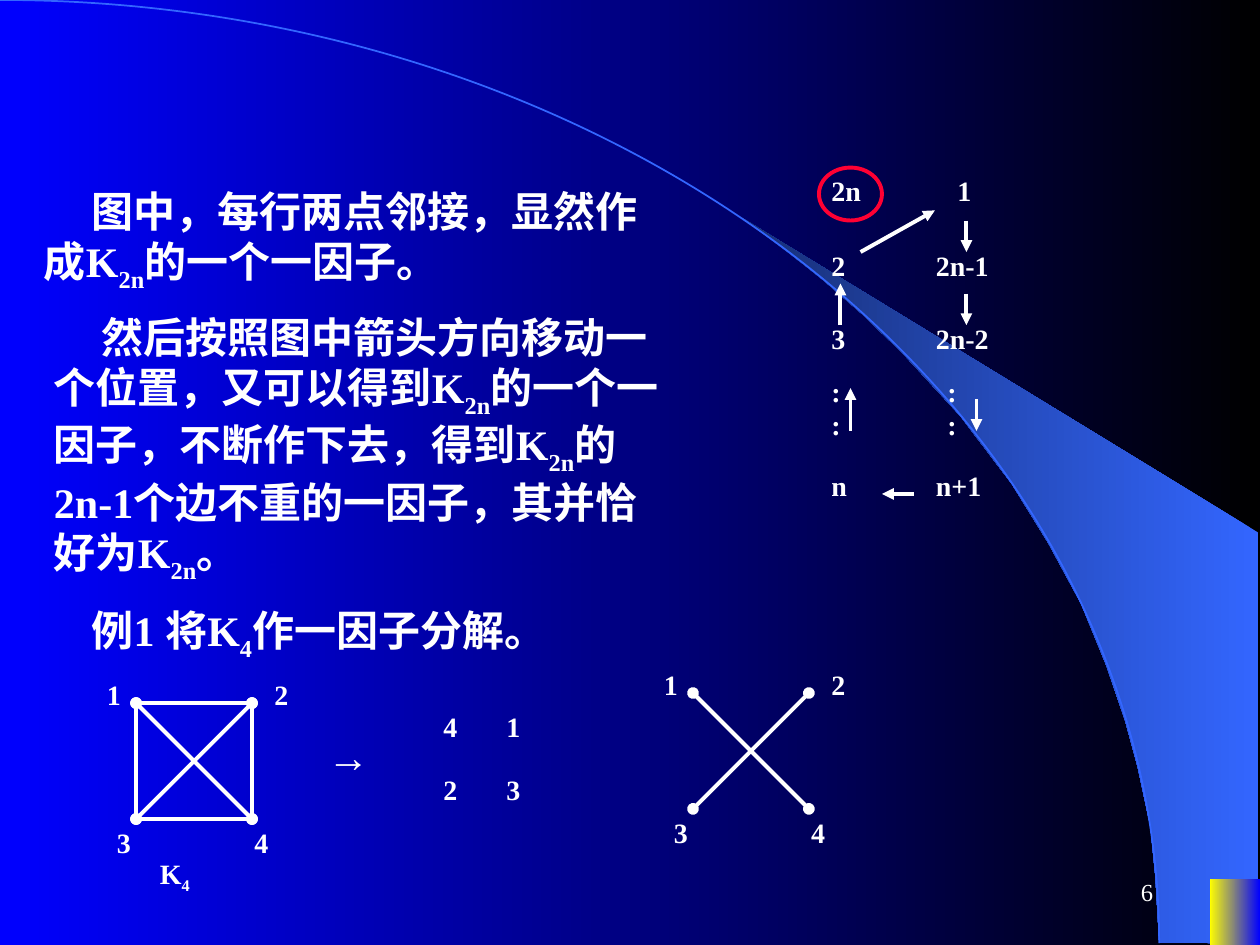
from itertools import combinations

from lxml import etree
from pptx import Presentation
from pptx.dml.color import RGBColor
from pptx.enum.shapes import MSO_CONNECTOR, MSO_SHAPE
from pptx.enum.text import MSO_ANCHOR, MSO_AUTO_SIZE, PP_ALIGN
from pptx.oxml.ns import qn
from pptx.util import Inches, Pt

STRAIGHT = MSO_CONNECTOR.STRAIGHT
RECTANGLE, OVAL, ARC = MSO_SHAPE.RECTANGLE, MSO_SHAPE.OVAL, MSO_SHAPE.ARC
TOP, MIDDLE = MSO_ANCHOR.TOP, MSO_ANCHOR.MIDDLE
LEFT, RIGHT = PP_ALIGN.LEFT, PP_ALIGN.RIGHT
GROW, FIXED = MSO_AUTO_SIZE.SHAPE_TO_FIT_TEXT, MSO_AUTO_SIZE.NONE

FONT = "Times New Roman"
BLACK = RGBColor(0x00, 0x00, 0x00)
BLUE = RGBColor(0x00, 0x00, 0xFF)
YELLOW = RGBColor(0xFF, 0xFF, 0x00)
WHITE = RGBColor(0xFF, 0xFF, 0xFF)
RED = RGBColor(0xFF, 0x00, 0x33)
ARC_BLUE = RGBColor(0x33, 0x66, 0xFF)
DARK_BLUE = RGBColor(0x17, 0x2F, 0x75)

BAND = [
    (9.2, 7.48), (9.99, 7.49), (9.99, 4.23), (5.89, 1.73), (6.24, 1.99),
    (6.53, 2.22), (6.85, 2.5), (7.16, 2.8), (7.62, 3.3), (8.03, 3.84),
    (8.32, 4.31), (8.58, 4.79), (8.78, 5.28), (8.93, 5.72), (9.03, 6.09),
    (9.13, 6.56), (9.17, 6.96),
]

# Text with its left, top, width and height; underscores enclose subscripts.
BODY = [
    ("图中，每行两点邻接，显然作成K_2n_的一个一因子。", 0.25, 1.42, 5.08, 0.96),
    ("然后按照图中箭头方向移动一个位置，又可以得到K_2n_的一个一因子，"
     "不断作下去，得到K_2n_的2n-1个边不重的一因子，其并恰好为K_2n_。",
     0.33, 2.42, 5.08, 2.27),
    ("例1 将K_4_作一因子分解。", 0.25, 4.75, 8.33, 0.56),
]
CYCLE_LABELS = [
    ("2n", 6.5, 1.33, 0.6), ("1", 7.5, 1.33, 0.6),
    ("2", 6.5, 1.92, 0.6), ("2n-1", 7.33, 1.92, 0.75),
    ("3", 6.5, 2.5, 0.6), ("2n-2", 7.33, 2.5, 0.75),
    (":\n:", 6.5, 2.92, 0.6), (":\n:", 7.42, 2.92, 0.6),
    ("n", 6.5, 3.67, 0.6), ("n+1", 7.33, 3.67, 0.6),
]
CYCLE_ARROWS = [
    ((7.67, 1.75), (7.67, 2)), ((7.67, 2.33), (7.67, 2.58)),
    ((7.75, 3.17), (7.75, 3.42)), ((7.25, 3.92), (7, 3.92)),
    ((6.75, 3.42), (6.75, 3.08)), ((6.67, 2.58), (6.67, 2.25)),
    ((6.83, 2), (7.42, 1.67)),
]

SIDE = 0.92
CORNERS = {1: (0, 0), 2: (SIDE, 0), 3: (0, SIDE), 4: (SIDE, SIDE)}
VERTEX_LABELS = {1: (-0.33, -0.25), 2: (1, -0.25),
                 3: (-0.25, SIDE), 4: (0.84, SIDE)}


def set_gradient(fill, first, last):
    """Fill from first at the right to last at the left."""
    fill.gradient()
    fill.gradient_angle = 180
    for stop, color in zip(fill.gradient_stops, (first, last)):
        stop.color.rgb = color


def add_text(shapes, text, left, top, width, height=0.37, size=16, bold=True,
             indent=0, align=LEFT, anchor=TOP, auto_size=GROW):
    box = shapes.add_textbox(Inches(left), Inches(top),
                             Inches(width), Inches(height))
    frame = box.text_frame
    frame.word_wrap = True
    frame.auto_size = auto_size
    frame.vertical_anchor = anchor
    for number, line in enumerate(text.split("\n")):
        paragraph = frame.add_paragraph() if number else frame.paragraphs[0]
        paragraph.alignment = align
        if indent:
            properties = paragraph._p.get_or_add_pPr()
            properties.set("marL", "0")
            properties.set("indent", str(Inches(indent)))
        for position, piece in enumerate(line.split("_")):
            if not piece:
                continue
            run = paragraph.add_run()
            run.text = piece
            run.font.name = FONT
            run.font.size = Pt(size)
            run.font.bold = bold
            run.font.color.rgb = WHITE
            if position % 2:
                run._r.get_or_add_rPr().set("baseline", "-25000")


def add_line(shapes, start, end, head=None, tail=None):
    points = [Inches(value) for value in (*start, *end)]
    line = shapes.add_connector(STRAIGHT, *points)
    line.line.color.rgb = WHITE
    line.line.width = Pt(2.25)
    outline = line.line._get_or_add_ln()
    for tag, kind in (("a:headEnd", head), ("a:tailEnd", tail)):
        if kind:
            etree.SubElement(outline, qn(tag), type=kind)
    etree.SubElement(line._element.spPr, qn("a:effectLst"))


def add_outline(shapes, preset, left, top, width, height, color, weight):
    shape = shapes.add_shape(preset, Inches(left), Inches(top),
                             Inches(width), Inches(height))
    shape.shadow.inherit = False
    shape.fill.background()
    shape.line.color.rgb = color
    shape.line.width = Pt(weight)


def add_decoration(slide):
    set_gradient(slide.background.fill, BLACK, BLUE)
    points = [(Inches(x), Inches(y)) for x, y in BAND]
    builder = slide.shapes.build_freeform(*points[0])
    builder.add_line_segments(points[1:], close=True)
    band = builder.convert_to_shape()
    add_outline(slide.shapes, ARC, -9.2, 0, 18.4, 14.97, ARC_BLUE, 1)
    corner = slide.shapes.add_shape(RECTANGLE, Inches(9.6), Inches(6.98),
                                    Inches(0.4), Inches(0.52))
    for shape, colors in ((band, (ARC_BLUE, DARK_BLUE)),
                          (corner, (BLUE, YELLOW))):
        shape.shadow.inherit = False
        shape.line.fill.background()
        set_gradient(shape.fill, *colors)


def add_cycle(slide):
    shapes = slide.shapes.add_group_shape().shapes
    for text, left, top, width in CYCLE_LABELS:
        height = 0.64 if "\n" in text else 0.37
        add_text(shapes, text, left, top, width, height)
    for start, end in CYCLE_ARROWS:
        add_line(shapes, start, end, tail="triangle")
    add_outline(shapes, OVAL, 6.5, 1.33, 0.5, 0.42, RED, 2.25)


def add_graph(slide, left, top, edges):
    """Draw edges between the numbered corners of a square."""
    shapes = slide.shapes.add_group_shape().shapes
    for edge in edges:
        start, end = [(left + CORNERS[vertex][0], top + CORNERS[vertex][1])
                      for vertex in edge]
        add_line(shapes, start, end, head="oval", tail="oval")
    for vertex, (x, y) in VERTEX_LABELS.items():
        add_text(shapes, str(vertex), left + x, top + y, 0.43)
    return shapes


def add_number_square(slide):
    shapes = slide.shapes.add_group_shape().shapes
    for row, numbers in enumerate(("41", "23")):
        for column, number in enumerate(numbers):
            add_text(shapes, number, 3.42 + 0.5 * column,
                     5.58 + 0.5 * row, 0.43)


def main():
    presentation = Presentation()
    presentation.slide_width = Inches(10)
    presentation.slide_height = Inches(7.5)
    slide = presentation.slides.add_slide(presentation.slide_layouts[6])
    add_decoration(slide)
    add_cycle(slide)
    for text, *place in BODY:
        add_text(slide.shapes, text, *place, size=24, indent=0.38)
    complete_graph = add_graph(slide, 1.08, 5.58, combinations(CORNERS, 2))
    add_text(complete_graph, "K_4_", 1.17, 6.75, 0.75, 0.41)
    add_text(slide.shapes, "→", 2.5, 5.75, 0.77, 0.5, size=24)
    add_number_square(slide)
    add_graph(slide, 5.5, 5.5, [(1, 4), (2, 3)])
    add_text(slide.shapes, "6", 7.17, 6.83, 2.08, 0.5, size=14, bold=False,
             align=RIGHT, anchor=MIDDLE, auto_size=FIXED)
    presentation.save("out.pptx")


if __name__ == "__main__":
    main()
